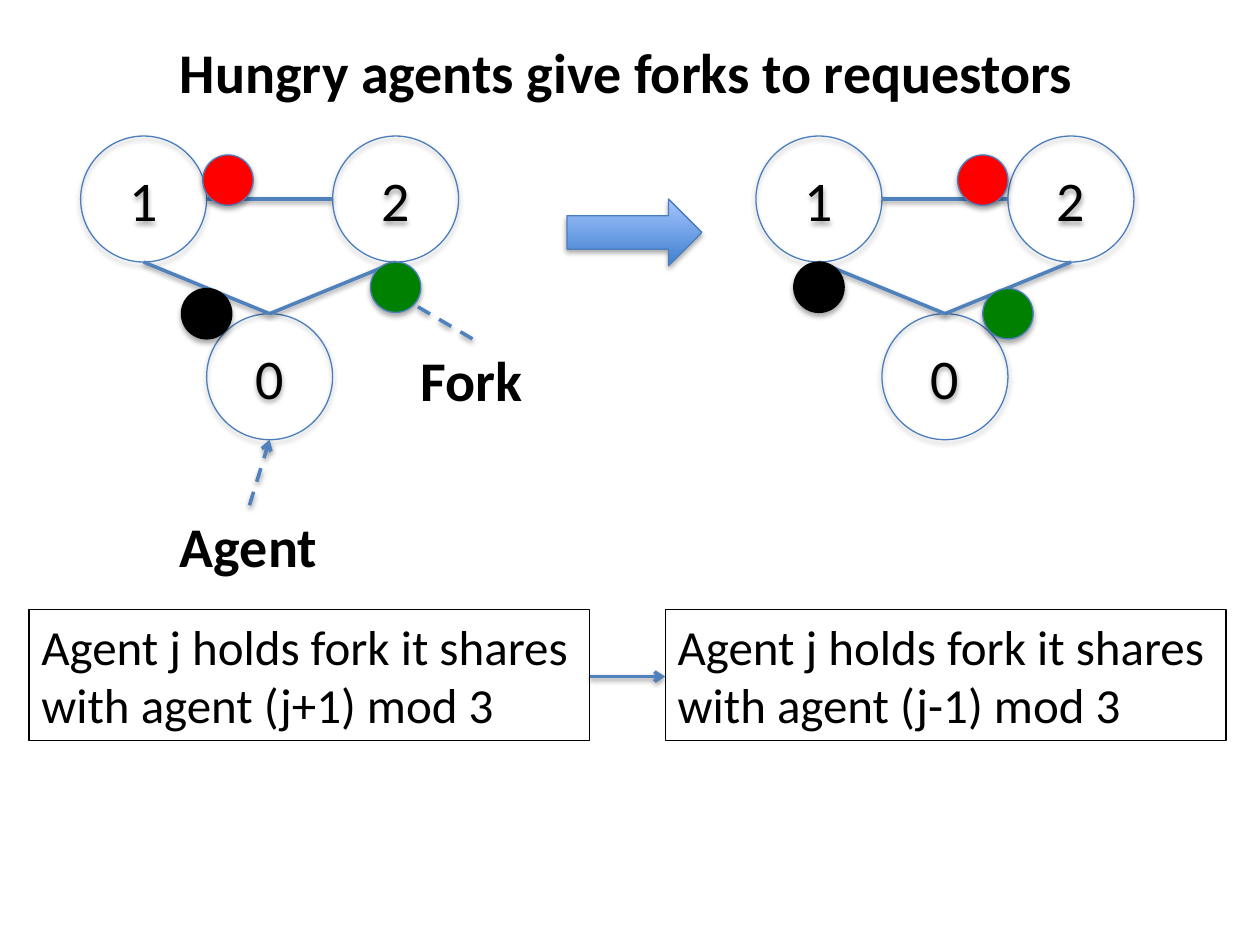
from lxml.etree import SubElement
from pptx import Presentation
from pptx.dml.color import RGBColor
from pptx.enum.dml import MSO_LINE
from pptx.enum.shapes import MSO_CONNECTOR, MSO_SHAPE
from pptx.enum.text import MSO_ANCHOR, MSO_AUTO_SIZE, PP_ALIGN
from pptx.oxml.ns import qn
from pptx.util import Inches, Pt

COLORS = {
    "black": "000000",
    "red": "FF0000",
    "green": "008000",
    "outline": "4B7EBC",
    "link": "4F81BD",
    "arrow_dark": "3F80CE",
    "arrow_light": "A4C4FF",
}
AGENTS = {"1": (0.5, 0.5), "2": (2.5, 0.5), "0": (1.5, 1.91)}
LINKS = [((1, 0.5), (2, 0.5)), ((2.5, 1), (1.5, 1.41)), ((1.5, 1.41), (0.5, 1))]
RING_TOP = 1.08


class ForkSlide:
    """Draws agents, forks and labels on one slide in a shared style."""

    font = "Calibri"

    def __init__(self, slide):
        self.slide = slide

    def color(self, name):
        return RGBColor.from_string(COLORS[name])

    def shadow(self, properties, distance, opacity):
        effects = properties.find(qn("a:effectLst"))
        if effects is None:
            effects = SubElement(properties, qn("a:effectLst"))
        outer = SubElement(effects, qn("a:outerShdw"), blurRad=str(Pt(3.1)),
                           dist=str(Pt(distance)), dir="5400000", rotWithShape="0")
        tone = SubElement(outer, qn("a:srgbClr"), val=COLORS["black"])
        SubElement(tone, qn("a:alpha"), val=str(opacity * 1000))

    def add_lines(self, frame, lines, size, bold=False, align=PP_ALIGN.LEFT):
        for index, line in enumerate(lines):
            paragraph = frame.add_paragraph() if index else frame.paragraphs[0]
            paragraph.alignment = align
            run = paragraph.add_run()
            run.text = line
            run.font.name = self.font
            run.font.size = Pt(size)
            run.font.bold = bold
            run.font.color.rgb = self.color("black")

    def shape(self, kind, left, top, width, height, fill=None, line="outline"):
        shape = self.slide.shapes.add_shape(
            kind, Inches(left), Inches(top), Inches(width), Inches(height))
        if fill:
            shape.fill.solid()
            shape.fill.fore_color.rgb = self.color(fill)
        else:
            shape.fill.background()
        shape.line.color.rgb = self.color(line)
        shape.line.width = Pt(0.75)
        shape.shadow.inherit = False
        self.shadow(shape.element.spPr, 1.8, 35)
        return shape

    def circle(self, x, y, diameter, **style):
        return self.shape(MSO_SHAPE.OVAL, x - diameter / 2, y - diameter / 2,
                          diameter, diameter, **style)

    def agent(self, x, y, name):
        frame = self.circle(x, y, 1).text_frame
        frame.vertical_anchor = MSO_ANCHOR.MIDDLE
        self.add_lines(frame, [name], 32, align=PP_ALIGN.CENTER)

    def fork(self, x, y, color):
        self.circle(x, y, 0.4, fill=color,
                    line="black" if color == "black" else "outline")

    def line(self, start, end, dashed=False, arrow=False):
        connector = self.slide.shapes.add_connector(
            MSO_CONNECTOR.STRAIGHT, *(Inches(value) for value in (*start, *end)))
        connector.line.color.rgb = self.color("link")
        connector.line.width = Pt(2)
        if dashed:
            connector.line.dash_style = MSO_LINE.DASH
        properties = connector.element.spPr
        if arrow:
            SubElement(properties.find(qn("a:ln")), qn("a:tailEnd"), type="arrow")
        self.shadow(properties, 1.6, 38)

    def ring(self, left, forks):
        for name, (x, y) in AGENTS.items():
            self.agent(left + x, RING_TOP + y, name)
        for start, end in LINKS:
            self.line(*((left + x, RING_TOP + y) for x, y in (start, end)))
        for color, (x, y) in forks.items():
            self.fork(left + x, RING_TOP + y, color)

    def text(self, left, top, width, height, lines, size=32, bold=True, border=False):
        box = self.slide.shapes.add_textbox(
            Inches(left), Inches(top), Inches(width), Inches(height))
        box.text_frame.word_wrap = False
        box.text_frame.auto_size = MSO_AUTO_SIZE.SHAPE_TO_FIT_TEXT
        if border:
            box.line.color.rgb = self.color("black")
            box.line.width = Pt(0.75)
        self.add_lines(box.text_frame, lines, size, bold)

    def block_arrow(self, left, top, width, height):
        arrow = self.shape(MSO_SHAPE.RIGHT_ARROW, left, top, width, height)
        arrow.fill.gradient()
        arrow.fill.gradient_angle = 90
        for stop, position, name in zip(
                arrow.fill.gradient_stops, (0, 1), ("arrow_dark", "arrow_light")):
            stop.position = position
            stop.color.rgb = self.color(name)


presentation = Presentation()
presentation.slide_width = Inches(10)
presentation.slide_height = Inches(7.5)
page = ForkSlide(presentation.slides.add_slide(presentation.slide_layouts[6]))

page.ring(0.64, {"black": (1, 1.41), "red": (1.17, 0.35), "green": (2.5, 1.2)})
page.ring(6, {"black": (0.5, 1.2), "red": (1.8, 0.35), "green": (2, 1.41)})

page.text(1.33, 4.01, 1.31, 0.64, ["Agent"])
page.line((1.98, 4.01), (2.14, 3.49), dashed=True, arrow=True)
page.text(3.24, 2.69, 1.02, 0.64, ["Fork"])
page.line((3.75, 2.69), (3.29, 2.42), dashed=True)
page.text(1.33, 0.25, 7.4, 0.64, ["Hungry agents give forks to requestors"])
page.block_arrow(4.5, 1.58, 1.07, 0.53)

for left, sign in ((0.23, "+"), (5.28, "-")):
    page.text(left, 4.84, 4.45, 1.04,
              ["Agent j holds fork it shares ", f"with agent (j{sign}1) mod 3"],
              size=28, bold=False, border=True)
page.line((4.68, 5.37), (5.28, 5.37), arrow=True)

presentation.save("out.pptx")
